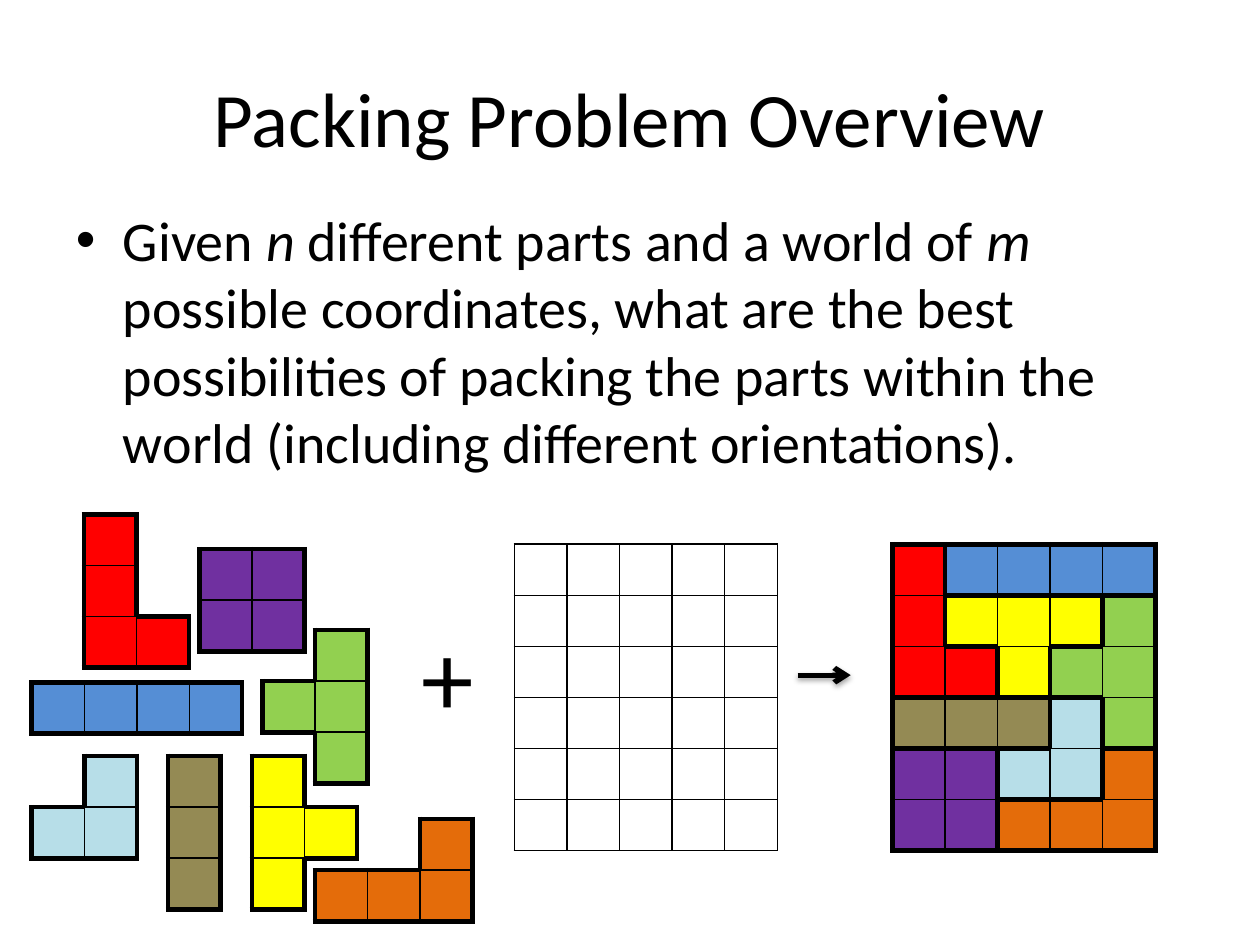
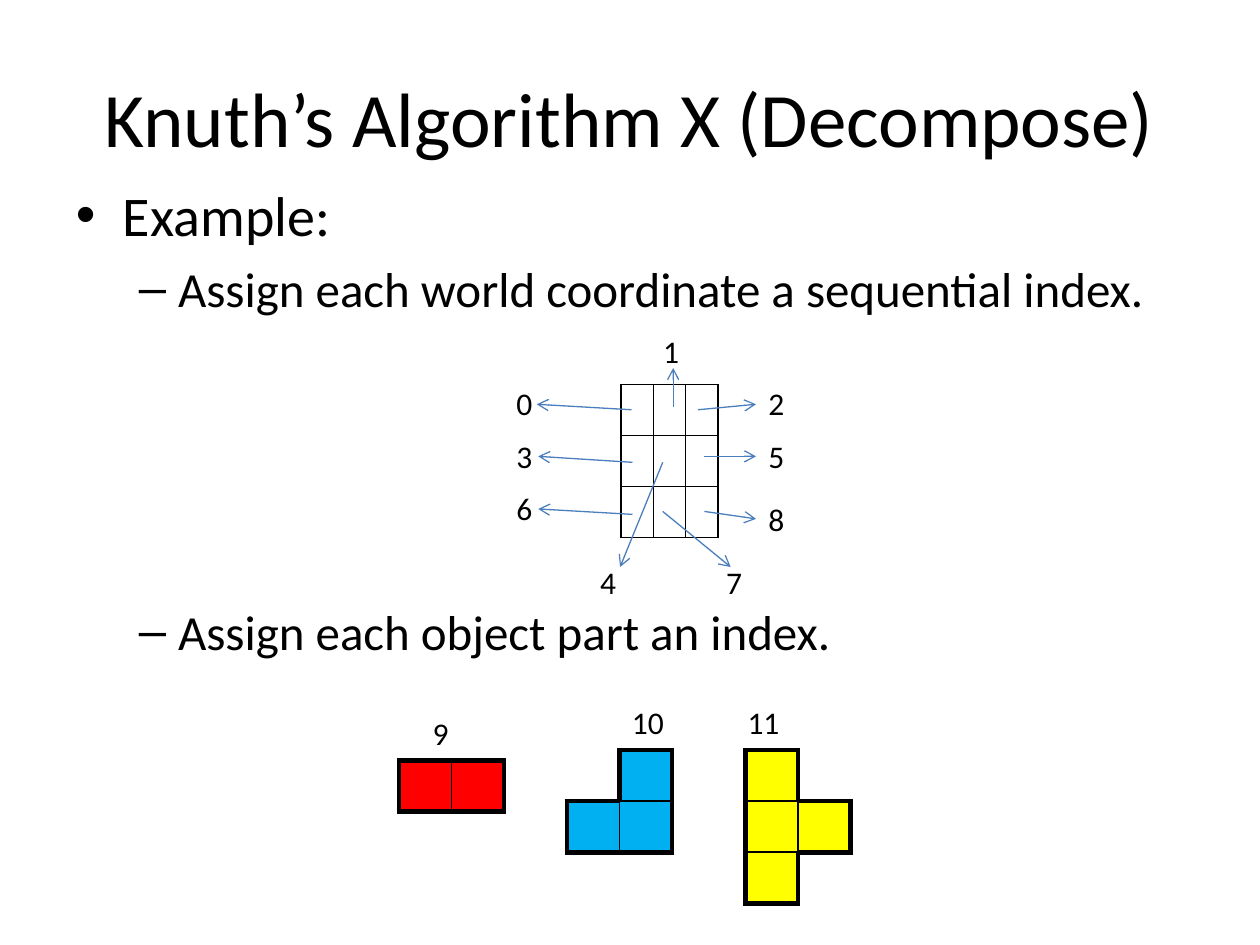
from dataclasses import dataclass

from lxml.etree import SubElement
from pptx import Presentation
from pptx.dml.color import RGBColor
from pptx.enum.shapes import MSO_CONNECTOR
from pptx.enum.text import MSO_ANCHOR, PP_ALIGN
from pptx.oxml.ns import qn
from pptx.util import Cm, Pt


@dataclass(frozen=True)
class Theme:
    font: str = "Calibri"
    bullet_font: str = "Arial"
    ink: str = "000000"
    arrow: str = "4B7EBC"
    title: float = 44
    body: float = 32
    detail: float = 28
    label: float = 18
    operator: float = 60
    thick: float = 3
    thin: float = 1
    hairline: float = 0.75


theme = Theme()

# Each letter in a grid stands for a part; a dot is an empty cell
part_colours = {
    "R": "FF0000", "B": "558ED5", "Y": "FFFF00", "G": "92D050", "T": "948A54",
    "L": "B7DEE8", "P": "7030A0", "O": "E46C0A", "C": "00B0F0", "W": "FFFFFF",
}
bullets = [  # character, left margin and hanging indent in cm, by level
    ("•", 0.95, -0.95),
    ("–", 2.06, -0.79),
]


def add_text(slide, box, paragraphs, anchor=MSO_ANCHOR.TOP):
    """Each paragraph is (runs, size, bulleted, format values); odd runs are italic."""
    shape = slide.shapes.add_textbox(*map(Cm, box))
    frame = shape.text_frame
    frame.word_wrap = True
    frame.vertical_anchor = anchor
    for number, (runs, size, bulleted, formats) in enumerate(paragraphs):
        paragraph = frame.add_paragraph() if number else frame.paragraphs[0]
        for name, value in formats.items():
            setattr(paragraph, name, value)
        if bulleted:
            character, margin, indent = bullets[paragraph.level]
            properties = paragraph._p.get_or_add_pPr()
            properties.set("marL", str(Cm(margin)))
            properties.set("indent", str(Cm(indent)))
            SubElement(properties, qn("a:buFont"), typeface=theme.bullet_font)
            SubElement(properties, qn("a:buChar"), char=character)
        for position, text in enumerate(runs):
            run = paragraph.add_run()
            run.text = text
            font_values = {"name": theme.font, "size": Pt(size), "italic": position % 2 == 1}
            for name, value in font_values.items():
                setattr(run.font, name, value)
            run.font.color.rgb = RGBColor.from_string(theme.ink)


def add_grid(slide, left, top, rows, column_width=1.06, outline=theme.thick):
    """Cells of one part share thin lines; the outline runs around each part."""
    row_height = 1.03
    row_count, column_count = len(rows), len(rows[0])
    table = slide.shapes.add_table(
        row_count, column_count, Cm(left), Cm(top),
        Cm(column_width * column_count), Cm(row_height * row_count),
    ).table
    table.first_row = table.horz_banding = False
    for column in table.columns:
        column.width = Cm(column_width)
    for row in table.rows:
        row.height = Cm(row_height)

    letters = {(r, c): letter for r, row in enumerate(rows) for c, letter in enumerate(row)}
    sides = {"lnL": (0, -1), "lnR": (0, 1), "lnT": (-1, 0), "lnB": (1, 0)}
    for (r, c), letter in letters.items():
        cell = table.cell(r, c)
        properties = cell._tc.get_or_add_tcPr()
        for side, (down, across) in sides.items():
            neighbour = letters.get((r + down, c + across), ".")
            width = theme.thin if neighbour == letter else outline
            line = SubElement(properties, qn(f"a:{side}"), w=str(Pt(width)))
            if letter == neighbour == ".":
                SubElement(line, qn("a:noFill"))
            else:
                fill = SubElement(line, qn("a:solidFill"))
                SubElement(fill, qn("a:srgbClr"), val=theme.ink)
        if letter == ".":
            cell.fill.background()
        else:
            cell.fill.solid()
            cell.fill.fore_color.rgb = RGBColor.from_string(part_colours[letter])


presentation = Presentation()
presentation.slide_width, presentation.slide_height = Cm(25.4), Cm(19.05)

# Slides and titles
slides = []
for title in ("Packing Problem Overview", "Knuth’s Algorithm X (Decompose)"):
    slide = presentation.slides.add_slide(presentation.slide_layouts[6])
    add_text(slide, (1.27, 0.76, 22.86, 3.18),
             [([title], theme.title, False, {"alignment": PP_ALIGN.CENTER})], MSO_ANCHOR.MIDDLE)
    slides.append(slide)
overview, decompose = slides

# Overview: the question
question = [
    "Given ", "n", " different parts and a world of ", "m",
    " possible coordinates, what are the best possibilities of packing the parts "
    "within the world (including different orientations).",
]
add_text(overview, (1.28, 4.02, 22.86, 12.57), [(question, theme.body, True, {})])

# Overview: loose parts and the packed world
packed_world = ["RBBBB", "RYYYG", "RRYGG", "TTTLG", "PPLLO", "PPOOO"]
for left, top, rows in [
    (17.99, 10.97, packed_world),
    (1.69, 10.37, ["R.", "R.", "RR"]),
    (0.64, 13.76, ["BBBB"]),
    (5.29, 12.7, [".G", "GG", ".G"]),
    (3.39, 15.24, ["T", "T", "T"]),
    (0.64, 15.24, [".L", "LL"]),
    (4.02, 11.07, ["PP", "PP"]),
    (6.35, 16.51, ["..O", "OOO"]),
    (5.08, 15.24, ["Y.", "YY", "Y."]),
]:
    add_grid(overview, left, top, rows)

# Overview: the empty world
add_grid(overview, 10.37, 10.97, ["WWWWW"] * 6, outline=theme.thin)
add_text(overview, (8.25, 12.21, 1.9, 2.82), [(["+"], theme.operator, False, {})])

# Decompose: steps, with room between them for the indexed world
add_text(decompose, (1.28, 3.51, 22.86, 14.05), [
    (["Example:"], theme.body, True, {}),
    (["Assign each world coordinate a sequential index."], theme.detail, True,
     {"level": 1, "space_before": Pt(6)}),
    (["Assign each object part an index."], theme.detail, True,
     {"level": 1, "space_before": Pt(162.5)}),
])

# Decompose: world and parts
add_grid(decompose, 12.52, 7.75, ["WWW"] * 3, column_width=0.65, outline=theme.thin)
for left, top, rows in [
    (8.04, 15.33, ["RR.."]),
    (11.43, 15.12, [".C", "CC"]),
    (15.03, 15.12, ["Y.", "YY", "Y."]),
]:
    add_grid(decompose, left, top, rows)

# Decompose: index labels, in order from 0
label_places = [
    (10.16, 7.62), (13.12, 6.56), (15.24, 7.62),
    (10.16, 8.68), (11.85, 11.22), (15.24, 8.68),
    (10.16, 9.74), (14.39, 11.22), (15.24, 9.95),
    (8.47, 14.27), (12.49, 14.05), (14.82, 14.05),
]
for index, (left, top) in enumerate(label_places):
    add_text(decompose, (left, top, 2.74, 1.07), [([str(index)], theme.label, False, {})])

# Arrows on both slides, from start to end
index_arrows = [
    (12.73, 8.26, 10.82, 8.15), (13.57, 8.2, 13.57, 7.42), (14.07, 8.26, 15.24, 8.15),
    (12.75, 9.32, 10.85, 9.2), (13.36, 9.32, 12.5, 11.43), (14.2, 9.2, 15.24, 9.2),
    (12.75, 10.37, 10.85, 10.26), (13.36, 10.31, 14.73, 11.43), (14.2, 10.31, 15.24, 10.46),
]
arrows = [(overview, (16.08, 13.61, 17.15, 13.61), theme.ink, theme.thick)]
arrows += [(decompose, ends, theme.arrow, theme.hairline) for ends in index_arrows]
for slide, ends, colour, width in arrows:
    arrow = slide.shapes.add_connector(MSO_CONNECTOR.STRAIGHT, *map(Cm, ends))
    arrow.line.color.rgb = RGBColor.from_string(colour)
    arrow.line.width = Pt(width)
    SubElement(arrow.line._get_or_add_ln(), qn("a:tailEnd"), type="arrow")
    effects = SubElement(arrow._element.spPr, qn("a:effectLst"))
    if width == theme.thick:
        shadow = SubElement(effects, qn("a:outerShdw"), blurRad=str(Pt(3.1)),
                            dist=str(Pt(1.8)), dir="5400000", rotWithShape="0")
        shadow_colour = SubElement(shadow, qn("a:srgbClr"), val=theme.ink)
        SubElement(shadow_colour, qn("a:alpha"), val="35000")

presentation.save("out.pptx")
